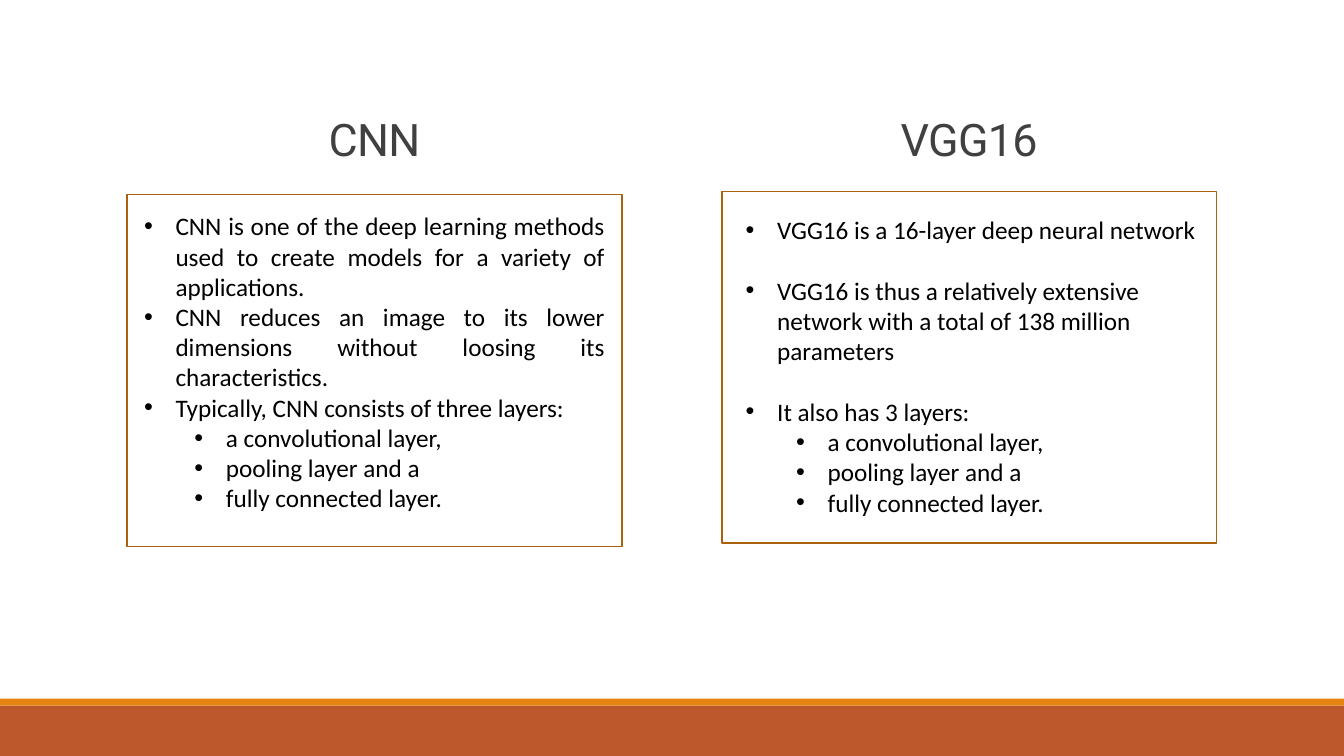
from dataclasses import dataclass

from lxml import etree
from pptx import Presentation
from pptx.dml.color import RGBColor
from pptx.enum.shapes import MSO_SHAPE
from pptx.enum.text import MSO_ANCHOR, PP_ALIGN
from pptx.oxml.ns import qn
from pptx.shapes.autoshape import Shape
from pptx.slide import Slide
from pptx.text.text import TextFrame
from pptx.util import Pt

RECTANGLE = MSO_SHAPE.RECTANGLE
TOP, BOTTOM = MSO_ANCHOR.TOP, MSO_ANCHOR.BOTTOM
LEFT, CENTER, JUSTIFY = PP_ALIGN.LEFT, PP_ALIGN.CENTER, PP_ALIGN.JUSTIFY

COLORS = {
    "footer": "BD582C",
    "stripe": "E48312",
    "frame": "A9610D",
    "heading": "404040",
    "body": "000000",
}
SLIDE_WIDTH, SLIDE_HEIGHT = 960, 540
STRIPE_TOP, FOOTER_TOP = 499, 504
COLUMN_WIDTH = 353.5
HEADING_TOP, HEADING_HEIGHT = 81.4, 40.3
FRAME_HEIGHT = 251.3
BODY_WIDTH, BODY_HEIGHT = 343.4, 225.4
HANGING = 22.5
LEVEL_STEP = 36


@dataclass(frozen=True)
class Box:
    left: float
    top: float
    width: float
    height: float

    def lengths(self) -> tuple[Pt, Pt, Pt, Pt]:
        return Pt(self.left), Pt(self.top), Pt(self.width), Pt(self.height)


@dataclass(frozen=True)
class Point:
    text: str
    level: int = 0
    gap: float = 0


@dataclass(frozen=True)
class Topic:
    heading: str
    left: float
    frame_top: float
    body_left: float
    body_top: float
    alignment: PP_ALIGN
    points: tuple[Point, ...]


LAYERS = (
    Point("a convolutional layer,", 1),
    Point("pooling layer and a", 1),
    Point("fully connected layer.", 1),
)
TOPICS = (
    Topic("CNN", 90.7, 139, 95.8, 146.9, JUSTIFY, (
        Point("CNN is one of the deep learning methods used to create models "
              "for a variety of applications."),
        Point("CNN reduces an image to its lower dimensions without loosing "
              "its characteristics."),
        Point("Typically, CNN consists of three layers:"),
        *LAYERS,
    )),
    Topic("VGG16", 515.5, 136.8, 525.6, 149.8, LEFT, (
        Point("VGG16 is a 16-layer deep neural network"),
        Point("VGG16 is thus a relatively extensive network with a total of "
              "138 million parameters", gap=21.6),
        Point("It also has 3 layers:", gap=21.6),
        *LAYERS,
    )),
)


def color(name: str) -> RGBColor:
    return RGBColor.from_string(COLORS[name])


def add_rectangle(slide: Slide, box: Box) -> Shape:
    rectangle = slide.shapes.add_shape(RECTANGLE, *box.lengths())
    rectangle.shadow.inherit = False
    return rectangle


def add_band(slide: Slide, box: Box, fill: str) -> None:
    band = add_rectangle(slide, box)
    band.fill.solid()
    band.fill.fore_color.rgb = color(fill)
    band.line.fill.background()


def add_frame(slide: Slide, box: Box) -> None:
    frame = add_rectangle(slide, box)
    frame.fill.background()
    frame.line.color.rgb = color("frame")
    frame.line.width = Pt(1.25)


def add_text_area(slide: Slide, box: Box, anchor: MSO_ANCHOR) -> TextFrame:
    area = slide.shapes.add_textbox(*box.lengths()).text_frame
    area.word_wrap = True
    area.vertical_anchor = anchor
    return area


def add_heading(slide: Slide, topic: Topic) -> None:
    box = Box(topic.left, HEADING_TOP, COLUMN_WIDTH, HEADING_HEIGHT)
    paragraph = add_text_area(slide, box, BOTTOM).paragraphs[0]
    paragraph.alignment = CENTER
    paragraph.line_spacing = 0.85
    run = paragraph.add_run()
    run.text = topic.heading
    run.font.name = "Roboto"
    run.font.size = Pt(32)
    run.font.color.rgb = color("heading")
    run.font._element.set("spc", "-50")


def add_points(slide: Slide, topic: Topic) -> None:
    box = Box(topic.body_left, topic.body_top, BODY_WIDTH, BODY_HEIGHT)
    area = add_text_area(slide, box, TOP)
    for index, point in enumerate(topic.points):
        paragraph = area.add_paragraph() if index else area.paragraphs[0]
        paragraph.alignment = topic.alignment
        paragraph.level = point.level
        if point.gap:
            paragraph.space_before = Pt(point.gap)
        properties = paragraph._p.get_or_add_pPr()
        properties.set("marL", str(Pt(HANGING + LEVEL_STEP * point.level)))
        properties.set("indent", str(-Pt(HANGING)))
        etree.SubElement(properties, qn("a:buFont"), typeface="Arial")
        etree.SubElement(properties, qn("a:buChar"), char="•")
        run = paragraph.add_run()
        run.text = point.text
        run.font.name = "Calibri"
        run.font.size = Pt(18)
        run.font.color.rgb = color("body")


def main() -> None:
    presentation = Presentation()
    presentation.slide_width = Pt(SLIDE_WIDTH)
    presentation.slide_height = Pt(SLIDE_HEIGHT)
    slide = presentation.slides.add_slide(presentation.slide_layouts[6])
    add_band(slide, Box(0, FOOTER_TOP, SLIDE_WIDTH, SLIDE_HEIGHT - FOOTER_TOP), "footer")
    add_band(slide, Box(0, STRIPE_TOP, SLIDE_WIDTH, FOOTER_TOP - STRIPE_TOP), "stripe")
    for topic in TOPICS:
        add_frame(slide, Box(topic.left, topic.frame_top, COLUMN_WIDTH, FRAME_HEIGHT))
        add_heading(slide, topic)
        add_points(slide, topic)
    presentation.save("out.pptx")


if __name__ == "__main__":
    main()
